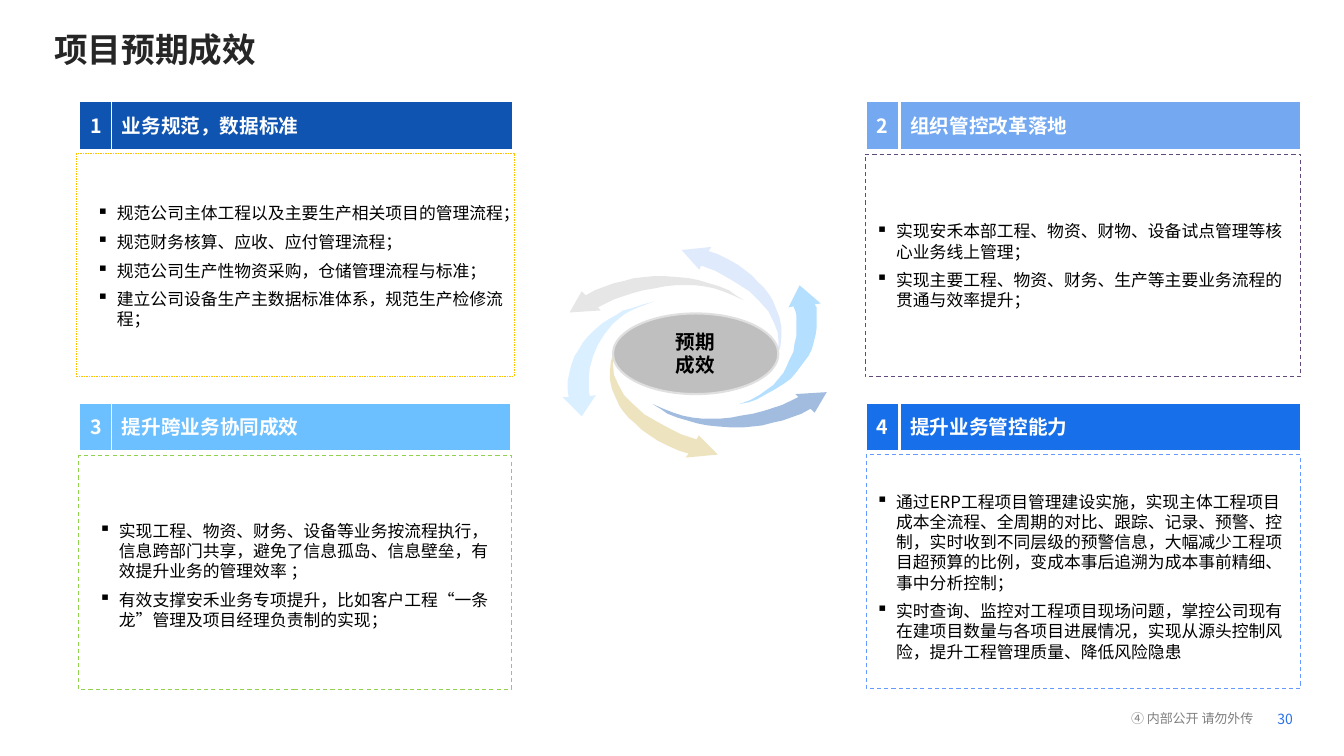
from dataclasses import dataclass
from typing import Any

from lxml import etree
from pptx import Presentation
from pptx import util as u
from pptx.dml.color import RGBColor
from pptx.enum import dml, shapes, text
from pptx.oxml.ns import qn

FONT = "Noto Sans CJK SC"
Box = tuple[float, float, float, float]
Outline = list[tuple[float, float]]


@dataclass(frozen=True)
class Arrow:
    outline: Outline
    box: Box
    color: str
    alpha: int = 100
    turned: bool = False


@dataclass(frozen=True)
class Benefit:
    number: str
    heading: str
    color: str
    left: float
    top: float
    heading_left: float
    heading_width: float
    frame: Box
    frame_color: str
    frame_weight: float
    points: list[str]
    insets: Box
    points_box: Box | None = None


SWEEP = [
    (5.93, 3.05), (5.96, 3.08), (5.65, 3.1), (5.77, 2.89), (5.81, 2.93), (5.9, 2.88),
    (5.98, 2.85), (6.09, 2.81), (6.18, 2.79), (6.29, 2.76), (6.38, 2.75), (6.48, 2.74),
    (6.6, 2.74), (6.73, 2.75), (6.83, 2.76), (6.93, 2.78), (7.03, 2.81), (7.13, 2.84),
    (7.23, 2.88), (7.3, 2.93), (7.38, 2.98), (7.27, 2.93), (7.17, 2.89), (7.08, 2.86),
    (6.98, 2.84), (6.89, 2.83), (6.79, 2.83), (6.7, 2.83), (6.6, 2.84), (6.5, 2.86),
    (6.38, 2.88), (6.27, 2.91), (6.18, 2.94), (6.09, 2.97), (5.99, 3.02)]
RISE = [
    (7.87, 3.04), (7.82, 3.05), (7.93, 2.83), (8.14, 3.01), (8.08, 3.02), (8.1, 3.05),
    (8.1, 3.16), (8.1, 3.25), (8.09, 3.32), (8.07, 3.4), (8.05, 3.47), (8.02, 3.53),
    (7.96, 3.61), (7.9, 3.69), (7.84, 3.76), (7.77, 3.81), (7.69, 3.86), (7.6, 3.91),
    (7.51, 3.96), (7.43, 3.99), (7.33, 4.01), (7.44, 3.97), (7.53, 3.92), (7.6, 3.87),
    (7.67, 3.82), (7.72, 3.76), (7.77, 3.7), (7.8, 3.64), (7.83, 3.57), (7.87, 3.49),
    (7.88, 3.41), (7.9, 3.33), (7.9, 3.25), (7.9, 3.13), (7.89, 3.09)]
HOOK = [
    (6.91, 4.36), (6.93, 4.32), (7.12, 4.51), (6.8, 4.54), (6.83, 4.5), (6.73, 4.47),
    (6.62, 4.42), (6.52, 4.37), (6.43, 4.31), (6.36, 4.26), (6.3, 4.2), (6.24, 4.15),
    (6.18, 4.08), (6.14, 4.02), (6.1, 3.93), (6.07, 3.86), (6.05, 3.77), (6.05, 3.68),
    (6.06, 3.58), (6.09, 3.5), (6.08, 3.62), (6.09, 3.72), (6.13, 3.81), (6.19, 3.92),
    (6.28, 4.01), (6.39, 4.11), (6.51, 4.18), (6.64, 4.25), (6.76, 4.31)]
FALL = [
    (5.85, 3.93), (5.91, 3.92), (5.77, 4.13), (5.58, 3.94), (5.64, 3.94), (5.63, 3.86),
    (5.63, 3.78), (5.65, 3.69), (5.67, 3.61), (5.7, 3.53), (5.74, 3.47), (5.78, 3.4),
    (5.83, 3.34), (5.89, 3.28), (5.97, 3.21), (6.05, 3.16), (6.12, 3.12), (6.18, 3.08),
    (6.26, 3.06), (6.38, 3.02), (6.49, 2.99), (6.33, 3.05), (6.26, 3.08), (6.19, 3.12),
    (6.08, 3.21), (6, 3.31), (5.93, 3.42), (5.88, 3.54), (5.85, 3.65), (5.84, 3.75),
    (5.84, 3.87)]
SWEEP_BOX, HOOK_BOX = (5.65, 2.74, 1.73, 0.36), (6.05, 3.5, 1.07, 1.04)

ARROWS = [
    Arrow(SWEEP, (6.47, 3.89, 1.73, 0.35), "1054B1", 39, True),
    Arrow(SWEEP, SWEEP_BOX, "E6E6E6"),
    Arrow(RISE, (7.33, 2.83, 0.82, 1.18), "6DC0FF", 50),
    Arrow(HOOK, HOOK_BOX, "BF9000", 25),
    Arrow(HOOK, (6.76, 2.45, 0.99, 1.07), "D1E2FB", 68, True),
    Arrow(FALL, (5.58, 2.99, 0.91, 1.14), "25A1FF", 17)]

LEFT, RIGHT, UPPER, LOWER = 0.79, 8.59, 1.01, 4.0
PLAIN = (0.1, 0.05, 0.1, 0.05)
BENEFITS = [
    Benefit("1", "业务规范，数据标准", "1054B1", LEFT, UPPER, 1.11, 3.97,
            (0.76, 1.52, 4.34, 2.21), "FFC000", 0.25,
            ["规范公司主体工程以及主要生产相关项目的管理流程；",
             "规范财务核算、应收、应付管理流程；",
             "规范公司生产性物资采购，仓储管理流程与标准；",
             "建立公司设备生产主数据标准体系，规范生产检修流程；"], (0.2, 0.08, 0.1, 0.05)),
    Benefit("3", "提升跨业务协同成效", "6DC0FF", LEFT, LOWER, 1.11, 3.95,
            (0.78, 4.52, 4.29, 2.32), "92D050", 0.75,
            ["实现工程、物资、财务、设备等业务按流程执行，信息跨部门共享，避免了信息孤岛、信息壁垒，有效提升业务的管理效率 ；",
             "有效支撑安禾业务专项提升，比如客户工程“一条龙”管理及项目经理负责制的实现；"],
            (0.2, 0.1, 0.1, 0.05)),
    Benefit("4", "提升业务管控能力", "1770EA", RIGHT, LOWER, 8.93, 3.97,
            (8.59, 4.51, 4.31, 2.32), "6699FF", 0.75,
            ["通过ERP工程项目管理建设实施，实现主体工程项目成本全流程、全周期的对比、跟踪、记录、预警、控制，实时收到不同层级的预警信息，大幅减少工程项目超预算的比例，变成本事后追溯为成本事前精细、事中分析控制；",
             "实时查询、监控对工程项目现场问题，掌控公司现有在建项目数量与各项目进展情况，实现从源头控制风险，提升工程管理质量、降低风险隐患"],
            PLAIN, (8.59, 4.82, 4.31, 1.8)),
    Benefit("2", "组织管控改革落地", "74A9F2", RIGHT, UPPER, 8.93, 3.97,
            (8.58, 1.53, 4.32, 2.21), "604A7B", 0.75,
            ["实现安禾本部工程、物资、财物、设备试点管理等核心业务线上管理；",
             "实现主要工程、物资、财务、生产等主要业务流程的贯通与效率提升；"],
            PLAIN, (8.59, 2.14, 4.33, 0.99))]


def rgb(value: str) -> RGBColor:
    return RGBColor.from_string(value)


def apply(target: Any, formats: dict[str, Any]) -> None:
    for name, value in formats.items():
        setattr(target, name, value)


def place(box: Box) -> list[u.Length]:
    return [u.Inches(length) for length in box]


def add_bullet(paragraph: Any) -> None:
    properties = paragraph._p.get_or_add_pPr()
    properties.set("marL", str(u.Inches(0.2)))
    properties.set("indent", str(u.Inches(-0.2)))
    color = etree.SubElement(properties, qn("a:buClr"))
    etree.SubElement(color, qn("a:srgbClr"), val="000000")
    etree.SubElement(properties, qn("a:buChar"), char="▪")


def write(holder: Any, lines: list[str], size: float, color: str, bold: bool = False,
          align: Any = text.PP_ALIGN.LEFT, insets: Box = PLAIN, wrap: bool = True,
          spacing: float | None = None, bullets: bool = False) -> None:
    frame = holder.text_frame
    margins = ("margin_left", "margin_top", "margin_right", "margin_bottom")
    apply(frame, dict(zip(margins, place(insets))) | {
        "word_wrap": wrap, "vertical_anchor": text.MSO_ANCHOR.MIDDLE})
    for index, line in enumerate(lines):
        paragraph = frame.add_paragraph() if index else frame.paragraphs[0]
        if bullets:
            add_bullet(paragraph)
            apply(paragraph, {"space_before": u.Pt(3 if index else 0), "space_after": u.Pt(3)})
        paragraph.alignment = align
        if spacing:
            paragraph.line_spacing = u.Pt(spacing)
        run = paragraph.add_run()
        run.text = line
        run.font.color.rgb = rgb(color)
        apply(run.font, {"size": u.Pt(size), "bold": bold, "name": FONT})
        etree.SubElement(run._r.get_or_add_rPr(), qn("a:ea"), typeface=FONT)


def draw_shape(slide: Any, kind: Any, box: Box, fill: str, line: str, weight: float,
               dash: Any = None) -> Any:
    shape = slide.shapes.add_shape(kind, *place(box))
    shape.shadow.inherit = False
    shape.fill.solid()
    shape.fill.fore_color.rgb = rgb(fill)
    shape.line.color.rgb = rgb(line)
    apply(shape.line, {"width": u.Pt(weight), "dash_style": dash})
    return shape


def draw_arrow(slide: Any, arrow: Arrow) -> None:
    outline = arrow.outline
    if arrow.turned:
        left, top, width, height = SWEEP_BOX if outline is SWEEP else HOOK_BOX
        x, y, w, h = arrow.box
        outline = [(x + w * (1 - (px - left) / width), y + h * (1 - (py - top) / height))
                   for px, py in outline]
    start, *rest = [(u.Inches(px), u.Inches(py)) for px, py in outline]
    builder = slide.shapes.build_freeform(*start)
    builder.add_line_segments(rest, close=True)
    swirl = builder.convert_to_shape()
    swirl.shadow.inherit = False
    swirl.fill.solid()
    swirl.fill.fore_color.rgb = rgb(arrow.color)
    swirl.line.fill.background()
    if arrow.alpha < 100:
        color = swirl._element.spPr.find(qn("a:solidFill")).find(qn("a:srgbClr"))
        etree.SubElement(color, qn("a:alpha"), val=str(arrow.alpha * 1000))


def draw_benefit(slide: Any, benefit: Benefit) -> None:
    rectangle = shapes.MSO_SHAPE.RECTANGLE
    points = draw_shape(slide, rectangle, benefit.frame, "FFFFFF", benefit.frame_color,
                        benefit.frame_weight, dml.MSO_LINE.DASH)
    heading = draw_shape(slide, rectangle, (benefit.heading_left, benefit.top,
                         benefit.heading_width, 0.47), benefit.color, "FFFFFF", 0.75)
    write(heading, [benefit.heading], 14, "FFFFFF", True)
    number = draw_shape(slide, rectangle, (benefit.left, benefit.top, 0.32, 0.47),
                        benefit.color, "FFFFFF", 0.75)
    write(number, [benefit.number], 14, "FFFFFF", True, text.PP_ALIGN.CENTER, wrap=False)
    if benefit.points_box:
        points = slide.shapes.add_textbox(*place(benefit.points_box))
    write(points, benefit.points, 12, "000000", insets=benefit.insets, spacing=14.4, bullets=True)


def main() -> None:
    deck = Presentation()
    apply(deck, {"slide_width": u.Inches(13.33), "slide_height": u.Inches(7.5)})
    slide = deck.slides.add_slide(deck.slide_layouts[6])
    notice = slide.shapes.add_textbox(*place((10.84, 7.02, 1.6, 0.19)))
    write(notice, ["④ 内部公开 请勿外传"], 9.3, "808080", align=text.PP_ALIGN.RIGHT,
          insets=(0.01, 0.01, 0.01, 0.01), spacing=13.3)
    page = slide.shapes.add_textbox(*place((12.67, 7.05, 0.23, 0.17)))
    write(page, ["30"], 10, "2A71EC", insets=(0, 0, 0, 0))
    title = slide.shapes.add_textbox(*place((0.44, 0.23, 10.6, 0.51)))
    write(title, ["项目预期成效"], 24, "262626", True)
    for arrow in ARROWS:
        draw_arrow(slide, arrow)
    hub = draw_shape(slide, shapes.MSO_SHAPE.OVAL, (6.08, 3.11, 1.64, 0.8), "BFBFBF", "DFDFDF", 1.5)
    write(hub, ["预期", "成效"], 14, "000000", True, text.PP_ALIGN.CENTER, spacing=16.5)
    for benefit in BENEFITS:
        draw_benefit(slide, benefit)
    deck.save("out.pptx")


if __name__ == "__main__":
    main()
